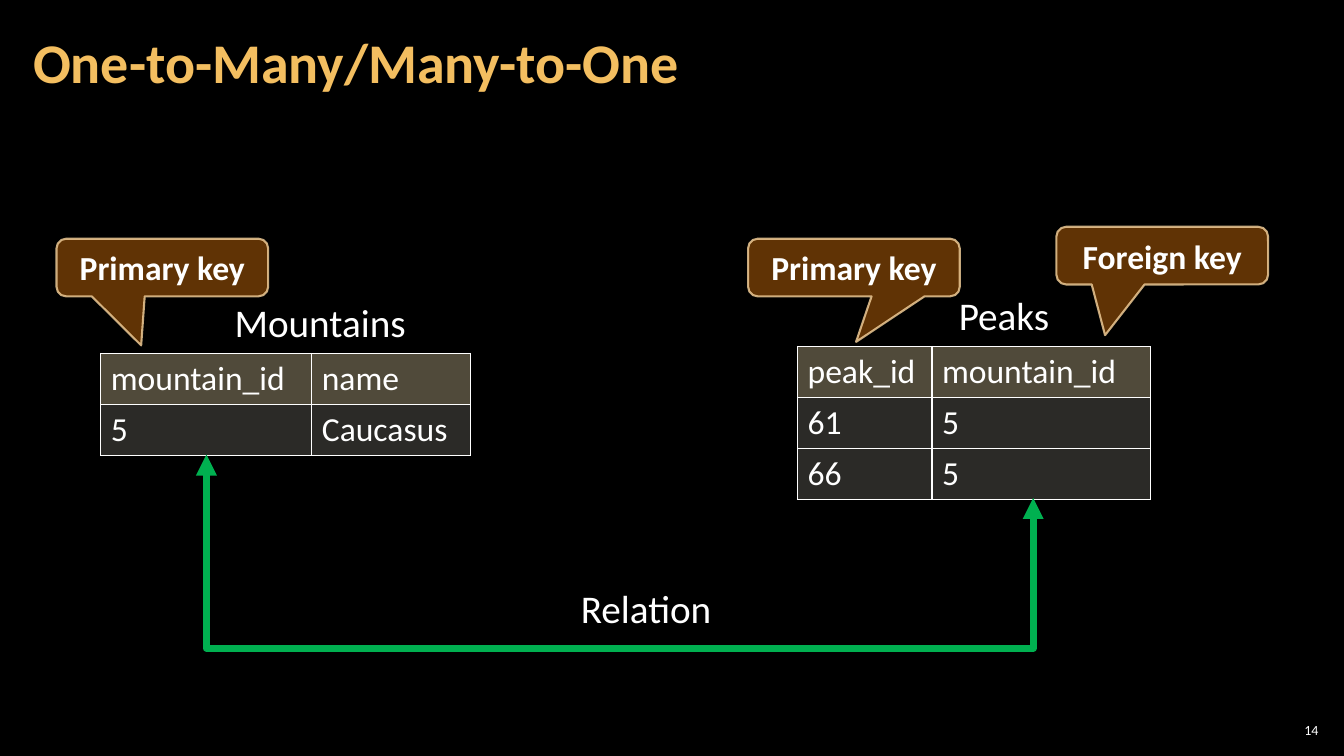
"""Build the slide on one-to-many and many-to-one relations."""
from dataclasses import dataclass

from lxml.etree import SubElement
from pptx import Presentation
from pptx.dml.color import RGBColor
from pptx.enum.shapes import MSO_CONNECTOR, MSO_SHAPE
from pptx.enum.text import MSO_ANCHOR, MSO_AUTO_SIZE, PP_ALIGN
from pptx.oxml import parse_xml
from pptx.oxml.ns import nsdecls, qn
from pptx.slide import Slide
from pptx.text.text import TextFrame
from pptx.util import Pt


@dataclass(frozen=True)
class Theme:
    font: str = "Calibri"
    background: str = "000000"
    text: str = "FFFFFF"
    title: str = "F3BE60"
    header: str = "A19574"
    body: str = "D9D5C7"
    callout: str = "663606"
    outline: str = "F8D49E"
    relation: str = "00B050"
    title_size: float = 40
    label_size: float = 28
    text_size: float = 24
    number_size: float = 10


@dataclass(frozen=True)
class Box:
    left: float
    top: float
    width: float
    height: float

    def lengths(self) -> tuple[Pt, Pt, Pt, Pt]:
        return Pt(self.left), Pt(self.top), Pt(self.width), Pt(self.height)


@dataclass(frozen=True)
class Label:
    text: str
    box: Box
    size: float
    align: PP_ALIGN = PP_ALIGN.LEFT
    wrap: bool = False


@dataclass(frozen=True)
class KeyTable:
    left: float
    top: float
    widths: tuple[float, ...]
    rows: tuple[tuple[str, ...], ...]


@dataclass(frozen=True)
class Callout:
    text: str
    left: float
    top: float
    tip: tuple[float, float]


THEME = Theme()
ROW_HEIGHT = 36
CALLOUT_SIZE = (151.2, 41.2)
TITLE = Label("One-to-Many/Many-to-One", Box(15.2, 2.9, 754, 87), THEME.title_size)
NUMBER = Label("14", Box(910.8, 514, 33.8, 15.2), THEME.number_size, PP_ALIGN.RIGHT, True)
LABELS = (
    Label("Mountains", Box(160.5, 209.5, 138.3, 41.2), THEME.label_size),
    Label("Peaks", Box(677.8, 204.5, 80, 41.2), THEME.label_size),
    Label("Relation", Box(389.5, 414, 144, 41.2), THEME.label_size, PP_ALIGN.CENTER, True),
)
TABLES = (
    KeyTable(72, 252.5, (150.7, 113.3), (("mountain_id", "name"), ("5", "Caucasus"))),
    KeyTable(569.7, 247.5, (96, 156.3),
             (("peak_id", "mountain_id"), ("61", "5"), ("66", "5"))),
)
CALLOUTS = (
    Callout("Primary key", 40.4, 170.5, (-0.1, 1.35)),
    Callout("Primary key", 534.4, 170.5, (0.01, 1.29)),
    Callout("Foreign key", 754.6, 162, (-0.27, 1.38)),
)


def format_text(frame: TextFrame, size: float, color: str = THEME.text,
                bold: bool = False, align: PP_ALIGN = PP_ALIGN.LEFT) -> None:
    for para in frame.paragraphs:
        para.alignment = align
        for span in para.runs:
            span.font.name = THEME.font
            span.font.size = Pt(size)
            span.font.bold = bold
            span.font.color.rgb = RGBColor.from_string(color)


def set_margins(frame: TextFrame, side: float, end: float) -> None:
    frame.margin_left = frame.margin_right = Pt(side)
    frame.margin_top = frame.margin_bottom = Pt(end)


def set_opacity(parent, percent: int) -> None:
    color = parent.find(qn("a:solidFill")).find(qn("a:srgbClr"))
    SubElement(color, qn("a:alpha"), val=str(percent * 1000))


def add_title(page: Slide, label: Label) -> None:
    title = page.shapes.title
    title.left, title.top, title.width, title.height = label.box.lengths()
    frame = title.text_frame
    frame.text = label.text
    frame.vertical_anchor = MSO_ANCHOR.MIDDLE
    frame.auto_size = MSO_AUTO_SIZE.NONE
    set_margins(frame, 8.5, 2.83)
    frame.paragraphs[0].line_spacing = 0.9
    format_text(frame, label.size, THEME.title, True)


def add_label(page: Slide, label: Label) -> TextFrame:
    frame = page.shapes.add_textbox(*label.box.lengths()).text_frame
    frame.text = label.text
    frame.word_wrap = label.wrap
    frame.auto_size = MSO_AUTO_SIZE.SHAPE_TO_FIT_TEXT
    format_text(frame, label.size, align=label.align)
    return frame


def add_number(page: Slide, label: Label) -> None:
    frame = add_label(page, label)
    frame.auto_size = MSO_AUTO_SIZE.NONE
    frame.vertical_anchor = MSO_ANCHOR.MIDDLE
    set_margins(frame, 2.83, 2.83)


def add_key_table(page: Slide, data: KeyTable) -> None:
    box = Box(data.left, data.top, sum(data.widths), ROW_HEIGHT * len(data.rows))
    table = page.shapes.add_table(len(data.rows), len(data.widths), *box.lengths()).table
    table.horz_banding = False
    for column, width in zip(table.columns, data.widths):
        column.width = Pt(width)
    for row_index, texts in enumerate(data.rows):
        fill, opacity = (THEME.body, 20) if row_index else (THEME.header, 50)
        for column_index, text in enumerate(texts):
            cell = table.cell(row_index, column_index)
            cell.text = text
            format_text(cell.text_frame, THEME.text_size)
            cell.fill.solid()
            cell.fill.fore_color.rgb = RGBColor.from_string(fill)
            properties = cell._tc.get_or_add_tcPr()
            set_opacity(properties, opacity)
            for position, side in enumerate(("lnL", "lnR", "lnT", "lnB")):
                properties.insert(position, parse_xml(
                    f'<a:{side} {nsdecls("a")} w="{Pt(1)}"><a:solidFill>'
                    f'<a:srgbClr val="{THEME.text}"/></a:solidFill></a:{side}>'))


def add_callout(page: Slide, callout: Callout) -> None:
    box = Box(callout.left, callout.top, *CALLOUT_SIZE)
    shape = page.shapes.add_shape(MSO_SHAPE.ROUNDED_RECTANGULAR_CALLOUT, *box.lengths())
    shape.adjustments[0], shape.adjustments[1] = callout.tip
    shape.shadow.inherit = False
    shape.fill.solid()
    shape.fill.fore_color.rgb = RGBColor.from_string(THEME.callout)
    shape.line.color.rgb = RGBColor.from_string(THEME.outline)
    shape.line.width = Pt(1.5)
    properties = shape._element.spPr
    set_opacity(properties, 95)
    set_opacity(properties.find(qn("a:ln")), 80)
    frame = shape.text_frame
    frame.text = callout.text
    frame.vertical_anchor = MSO_ANCHOR.MIDDLE
    format_text(frame, THEME.text_size, bold=True, align=PP_ALIGN.CENTER)


def add_relation(page: Slide, start: tuple[float, float], end: tuple[float, float],
                 bottom: float) -> None:
    """Draw an elbow, turned by 270 degrees, that dips to bottom between two cells."""
    middle_x, middle_y = (start[0] + end[0]) / 2, (start[1] + end[1]) / 2
    half_run, half_drop = (end[0] - start[0]) / 2, (end[1] - start[1]) / 2
    elbow = page.shapes.add_connector(
        MSO_CONNECTOR.ELBOW, Pt(middle_x + half_drop), Pt(middle_y - half_run),
        Pt(middle_x - half_drop), Pt(middle_y + half_run))
    elbow.line.color.rgb = RGBColor.from_string(THEME.relation)
    elbow.line.width = Pt(5)
    properties = elbow._element.spPr
    properties.find(qn("a:xfrm")).set("rot", str(270 * 60000))
    dip = round((bottom - start[1]) / (end[1] - start[1]) * 100000)
    guides = properties.find(qn("a:prstGeom")).get_or_add_avLst()
    SubElement(guides, qn("a:gd"), name="adj1", fmla=f"val {dip}")
    line = properties.find(qn("a:ln"))
    for tag in ("a:headEnd", "a:tailEnd"):
        SubElement(line, qn(tag), type="triangle")
    SubElement(properties, qn("a:effectLst"))


def main() -> None:
    deck = Presentation()
    deck.slide_width, deck.slide_height = Pt(960), Pt(540)
    page = deck.slides.add_slide(deck.slide_layouts[5])
    page.background.fill.solid()
    page.background.fill.fore_color.rgb = RGBColor.from_string(THEME.background)
    add_number(page, NUMBER)
    add_title(page, TITLE)
    for data in TABLES:
        add_key_table(page, data)
    for callout in CALLOUTS:
        add_callout(page, callout)
    add_relation(page, (147.5, 324.7), (738, 355.7), 463)
    for label in LABELS:
        add_label(page, label)
    deck.save("out.pptx")


if __name__ == "__main__":
    main()
